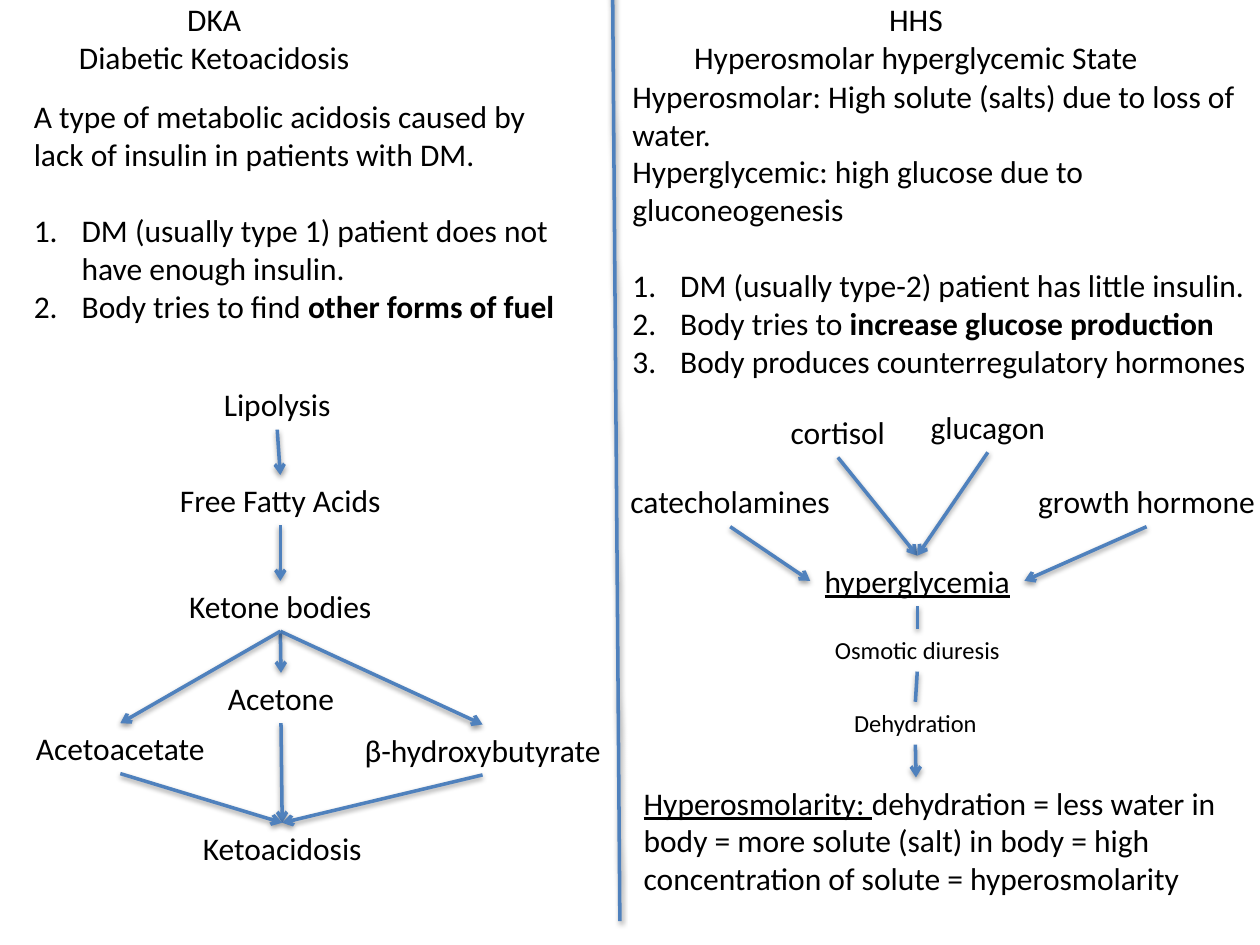
from dataclasses import dataclass

from lxml.etree import SubElement
from pptx import Presentation
from pptx.dml.color import RGBColor
from pptx.enum.shapes import MSO_CONNECTOR
from pptx.enum.text import MSO_AUTO_SIZE, PP_ALIGN
from pptx.oxml.ns import qn
from pptx.util import Inches, Pt


@dataclass(frozen=True)
class Theme:
    font: str = "Calibri"
    body: int = 18
    small: int = 14
    ink: RGBColor = RGBColor(0, 0, 0)
    arrow: RGBColor = RGBColor(0x4F, 0x81, 0xBD)
    line_width: int = 2
    paragraph_gap: int = 22


@dataclass(frozen=True)
class Run:
    text: str
    bold: bool = False
    underline: bool = False


@dataclass(frozen=True)
class Para:
    runs: tuple
    numbered: bool = False
    gap_before: bool = False


@dataclass(frozen=True)
class Block:
    """Text area in grid columns and rows."""
    left: float
    top: float
    width: float
    height: float
    paras: tuple
    centred: bool = False
    wrap: bool = True
    size: int = Theme.body


@dataclass(frozen=True)
class Node:
    """One-line step, placed by its centre column and top row."""
    text: str
    centre: float
    top: float
    width: float
    size: int = Theme.body
    underline: bool = False


@dataclass(frozen=True)
class Link:
    start: str
    end: str
    end_side: int = 0
    arrow: bool = True


THEME = Theme()
COLUMNS, ROWS = 100, 75
CELL = Inches(0.1)
TOP, LEFT, BOTTOM, RIGHT = range(4)


def grid(cells: float) -> int:
    return round(cells * CELL)


def plain(text: str, **options) -> Para:
    return Para((Run(text),), **options)


def add_block(slide, block: Block):
    box = slide.shapes.add_textbox(*map(grid, (block.left, block.top, block.width, block.height)))
    frame = box.text_frame
    frame.word_wrap = block.wrap
    frame.auto_size = MSO_AUTO_SIZE.SHAPE_TO_FIT_TEXT
    for index, para in enumerate(block.paras):
        paragraph = frame.add_paragraph() if index else frame.paragraphs[0]
        if para.numbered:
            properties = paragraph._p.get_or_add_pPr()
            properties.set("marL", str(Inches(0.38)))
            properties.set("indent", str(-Inches(0.38)))
            SubElement(properties, qn("a:buAutoNum"), type="arabicPeriod")
        if para.gap_before:
            paragraph.space_before = Pt(THEME.paragraph_gap)
        paragraph.alignment = PP_ALIGN.CENTER if block.centred else PP_ALIGN.LEFT
        for part in para.runs:
            run = paragraph.add_run()
            run.text = part.text
            run.font.name = THEME.font
            run.font.size = Pt(block.size)
            run.font.color.rgb = THEME.ink
            run.font.bold = part.bold
            run.font.underline = part.underline
    return box


def add_node(slide, node: Node):
    height = 4 if node.size == THEME.body else 3.4
    label = Para((Run(node.text, underline=node.underline),))
    return add_block(slide, Block(node.centre - node.width / 2, node.top, node.width, height,
                                  (label,), centred=True, wrap=False, size=node.size))


def add_line(slide, start: tuple, end: tuple, arrow: bool = True):
    line = slide.shapes.add_connector(MSO_CONNECTOR.STRAIGHT, *map(grid, start + end))
    line.line.color.rgb = THEME.arrow
    line.line.width = Pt(THEME.line_width)
    properties = line._element.spPr
    if arrow:
        SubElement(properties.find(qn("a:ln")), qn("a:tailEnd"), type="arrow")
    # Soft shadow straight below the line
    effects = SubElement(properties, qn("a:effectLst"))
    shadow = SubElement(effects, qn("a:outerShdw"), blurRad=str(Pt(3.1)), dist=str(Pt(1.6)),
                        dir="5400000", rotWithShape="0")
    black = SubElement(shadow, qn("a:srgbClr"), val="000000")
    SubElement(black, qn("a:alpha"), val="38000")
    return line


def add_link(slide, boxes: dict, link: Link) -> None:
    line = add_line(slide, (0, 0), (0, 0), link.arrow)
    line.begin_connect(boxes[link.start], BOTTOM)
    line.end_connect(boxes[link.end], link.end_side)


BLOCKS = (
    # Headings
    Block(5.1, -0.5, 23.8, 7.1, (plain("DKA"), plain("Diabetic Ketoacidosis")),
          centred=True, wrap=False),
    Block(53.8, -0.5, 37.8, 7.1, (plain("HHS"), plain("Hyperosmolar hyperglycemic State")),
          centred=True, wrap=False),
    # Definitions and causes
    Block(1.7, 7.2, 44.3, 22.2, (
        plain("A type of metabolic acidosis caused by lack of insulin in patients with DM."),
        plain("DM (usually type 1) patient does not have enough insulin.",
              numbered=True, gap_before=True),
        Para((Run("Body tries to find "), Run("other forms of fuel", bold=True)), numbered=True),
    )),
    Block(49.2, 5.6, 50.8, 25.2, (
        plain("Hyperosmolar: High solute (salts) due to loss of water."),
        plain("Hyperglycemic: high glucose due to gluconeogenesis"),
        plain("DM (usually type-2) patient has little insulin.", numbered=True, gap_before=True),
        Para((Run("Body tries to "), Run("increase glucose production", bold=True)),
             numbered=True),
        plain("Body produces counterregulatory hormones", numbered=True),
    )),
    # Outcome of HHS
    Block(50.1, 61.7, 49.9, 10.1, (Para((
        Run("Hyperosmolarity: ", underline=True),
        Run("dehydration = less water in body = more solute (salt) in body = "
            "high concentration of solute = hyperosmolarity"))),)),
)

NODES = (
    # DKA pathway
    Node("Lipolysis", 22, 30.1, 10.6),
    Node("Free Fatty Acids", 22.25, 37.7, 18.3),
    Node("Ketone bodies", 22.25, 46.1, 17.3),
    Node("Acetoacetate", 9.55, 57.4, 15.7),
    Node("β-hydroxybutyrate", 38.3, 57.5, 21.2),
    Node("Acetone", 22.3, 53.4, 10.6),
    Node("Ketoacidosis", 22.4, 65.3, 14.8),
    # HHS pathway
    Node("hyperglycemia", 72.8, 44.1, 17, underline=True),
    Node("glucagon", 78.4, 31.9, 11.2),
    Node("catecholamines", 57.95, 37.8, 18.1),
    Node("cortisol", 66.5, 32.3, 9.6),
    Node("growth hormone", 91, 37.8, 19.4),
    Node("Osmotic diuresis", 72.8, 49.9, 15.2, Theme.small),
    Node("Dehydration", 72.65, 55.7, 11.9, Theme.small),
)

KETONES = ("Acetone", "β-hydroxybutyrate", "Acetoacetate")
LINKS = (
    Link("Lipolysis", "Free Fatty Acids"),
    Link("Free Fatty Acids", "Ketone bodies"),
    *(Link("Ketone bodies", ketone) for ketone in KETONES),
    *(Link(ketone, "Ketoacidosis") for ketone in KETONES),
    Link("catecholamines", "hyperglycemia", LEFT),
    Link("cortisol", "hyperglycemia", TOP),
    Link("glucagon", "hyperglycemia", TOP),
    Link("growth hormone", "hyperglycemia", RIGHT),
    Link("hyperglycemia", "Osmotic diuresis", arrow=False),
    Link("Osmotic diuresis", "Dehydration", arrow=False),
)


def main() -> None:
    deck = Presentation()
    deck.slide_width, deck.slide_height = grid(COLUMNS), grid(ROWS)
    slide = deck.slides.add_slide(deck.slide_layouts[6])

    # Divider between the two conditions
    add_line(slide, (48.6, -3.7), (49.2, 73.1), arrow=False)

    for block in BLOCKS:
        add_block(slide, block)
    boxes = {node.text: add_node(slide, node) for node in NODES}
    for link in LINKS:
        add_link(slide, boxes, link)

    # Dehydration leads into the outcome text
    outcome = add_line(slide, (72.7, 59.1), (72.7, 61.7))
    outcome.begin_connect(boxes["Dehydration"], BOTTOM)

    deck.save("out.pptx")


if __name__ == "__main__":
    main()
